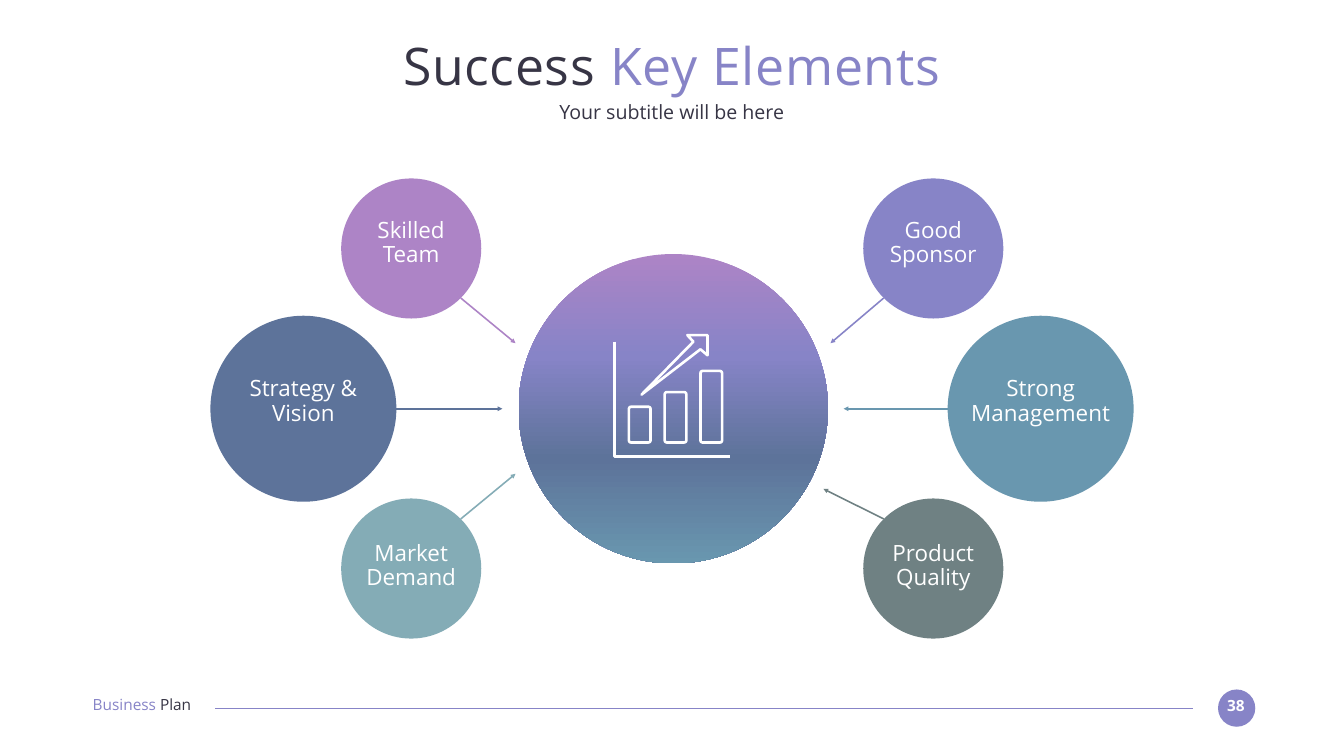
from dataclasses import dataclass
from math import cos, radians, sin

from lxml.etree import SubElement
from pptx import Presentation
from pptx.dml.color import RGBColor
from pptx.enum.shapes import MSO_CONNECTOR, MSO_SHAPE
from pptx.enum.text import MSO_ANCHOR, MSO_AUTO_SIZE, PP_ALIGN
from pptx.oxml.ns import qn
from pptx.shapes.autoshape import Shape
from pptx.shapes.connector import Connector
from pptx.slide import Slide
from pptx.text.text import TextFrame
from pptx.util import Inches, Pt

FONT = "Open Sans"
WHITE = RGBColor(0xFF, 0xFF, 0xFF)
DARK = RGBColor(0x37, 0x35, 0x45)
ORCHID = RGBColor(0xAD, 0x84, 0xC6)
VIOLET = RGBColor(0x87, 0x84, 0xC7)
NAVY = RGBColor(0x5D, 0x73, 0x9A)
BLUE = RGBColor(0x69, 0x97, 0xAF)
TEAL = RGBColor(0x84, 0xAC, 0xB6)
GRAY = RGBColor(0x6F, 0x81, 0x83)

SMALL, LARGE = 2.78, 3.69
LEFT_SMALL_X, RIGHT_SMALL_X = 8.16, 18.52
LEFT_LARGE_X, RIGHT_LARGE_X = 6.02, 20.65
TOP_Y, MIDDLE_Y, BOTTOM_Y = 4.93, 8.11, 11.28
LABEL_HEIGHT = 1.08
ICON_LINE = 3.75


@dataclass(frozen=True)
class Element:
    lines: tuple[str, ...]
    color: RGBColor
    center_x: float
    center_y: float
    diameter: float
    angle: float
    arrow_end: tuple[float, float]
    label_top: float
    label_width: float = 2.23

    @property
    def arrow_start(self) -> tuple[float, float]:
        radius, angle = self.diameter / 2, radians(self.angle)
        return self.center_x + radius * cos(angle), self.center_y + radius * sin(angle)


@dataclass(frozen=True)
class Piece:
    text: str
    color: RGBColor


ELEMENTS = (
    Element(("Skilled Team",), ORCHID, LEFT_SMALL_X, TOP_Y, SMALL, 45, (10.23, 6.81), 4.34),
    Element(("Strategy & Vision",), NAVY, LEFT_LARGE_X, MIDDLE_Y, LARGE, 0, (9.97, MIDDLE_Y), 7.49),
    Element(("Market Demand",), TEAL, LEFT_SMALL_X, BOTTOM_Y, SMALL, -45, (10.23, 9.4), 10.75),
    Element(("Good Sponsor",), VIOLET, RIGHT_SMALL_X, TOP_Y, SMALL, 135, (16.48, 6.81), 4.34),
    Element(("Strong", "Management"), BLUE, RIGHT_LARGE_X, MIDDLE_Y, LARGE, 180,
            (16.74, MIDDLE_Y), 7.49, 2.91),
    Element(("Product Quality",), GRAY, RIGHT_SMALL_X, BOTTOM_Y, SMALL, 225, (16.34, 9.7), 10.75),
)


def write(frame: TextFrame, paragraphs: list[list[Piece]], size: float,
          align: PP_ALIGN = PP_ALIGN.CENTER, bold: bool = False,
          anchor: MSO_ANCHOR = MSO_ANCHOR.TOP) -> None:
    frame.word_wrap = True
    frame.auto_size = MSO_AUTO_SIZE.NONE
    frame.vertical_anchor = anchor
    frame.margin_left = frame.margin_right = frame.margin_top = frame.margin_bottom = 0
    for index, pieces in enumerate(paragraphs):
        paragraph = frame.add_paragraph() if index else frame.paragraphs[0]
        paragraph.alignment = align
        paragraph.line_spacing = 0.9
        paragraph.space_before = Pt(0)
        for piece in pieces:
            run = paragraph.add_run()
            run.text = piece.text
            run.font.name = FONT
            run.font.size = Pt(size)
            run.font.bold = bold
            run.font.color.rgb = piece.color


def place(shape: Shape, left: float, top: float, width: float, height: float) -> None:
    shape.left, shape.top = Inches(left), Inches(top)
    shape.width, shape.height = Inches(width), Inches(height)


def add_text(slide: Slide, left: float, top: float, width: float, height: float) -> TextFrame:
    box = slide.shapes.add_textbox(Inches(left), Inches(top), Inches(width), Inches(height))
    return box.text_frame


def add_circle(slide: Slide, center_x: float, center_y: float, diameter: float,
               color: RGBColor) -> Shape:
    circle = slide.shapes.add_shape(
        MSO_SHAPE.OVAL, Inches(center_x - diameter / 2), Inches(center_y - diameter / 2),
        Inches(diameter), Inches(diameter))
    circle.shadow.inherit = False
    circle.fill.solid()
    circle.fill.fore_color.rgb = color
    circle.line.fill.background()
    return circle


def add_line(slide: Slide, start: tuple[float, float], end: tuple[float, float],
             color: RGBColor, width: float) -> Connector:
    line = slide.shapes.add_connector(
        MSO_CONNECTOR.STRAIGHT, *(Inches(value) for value in start + end))
    line.line.color.rgb = color
    line.line.width = Pt(width)
    SubElement(line.element.spPr, qn("a:effectLst"))
    return line


def add_arrow(slide: Slide, element: Element) -> None:
    arrow = add_line(slide, element.arrow_start, element.arrow_end, element.color, 2.25)
    SubElement(arrow.line._get_or_add_ln(), qn("a:tailEnd"), type="triangle")


def add_label(slide: Slide, element: Element) -> None:
    frame = add_text(slide, element.center_x - element.label_width / 2, element.label_top,
                     element.label_width, LABEL_HEIGHT)
    write(frame, [[Piece(line, WHITE)] for line in element.lines], 32)


def add_hub(slide: Slide) -> None:
    hub = add_circle(slide, 13.36, MIDDLE_Y, 6.14, VIOLET)
    hub.fill.gradient()
    hub.fill.gradient_angle = 270
    stops = hub.element.spPr.find(qn("a:gradFill")).find(qn("a:gsLst"))
    for stop in list(stops):
        stops.remove(stop)
    for percent, color in ((0, ORCHID), (33, VIOLET), (66, NAVY), (100, BLUE)):
        stop = SubElement(stops, qn("a:gs"), pos=str(percent * 1000))
        SubElement(stop, qn("a:srgbClr"), val=str(color))


def outline(shape: Shape) -> None:
    shape.shadow.inherit = False
    shape.fill.background()
    shape.line.color.rgb = WHITE
    shape.line.width = Pt(ICON_LINE)
    SubElement(shape.line._get_or_add_ln(), qn("a:round"))


def add_outline(slide: Slide, points: list[tuple[float, float]], close: bool) -> None:
    corners = [(Inches(x), Inches(y)) for x, y in points]
    builder = slide.shapes.build_freeform(*corners[0])
    builder.add_line_segments(corners[1:], close=close)
    outline(builder.convert_to_shape())


def add_growth_icon(slide: Slide) -> None:
    add_outline(slide, [(12.2, 6.78), (12.2, 9.06), (14.48, 9.06)], False)
    for index, top in enumerate((8.07, 7.78, 7.36)):
        bar = slide.shapes.add_shape(
            MSO_SHAPE.ROUNDED_RECTANGLE, Inches(12.48 + 0.71 * index), Inches(top),
            Inches(0.43), Inches(8.78 - top))
        bar.adjustments[0] = 0.1
        outline(bar)
    add_outline(slide, [(12.73, 7.83), (13.76, 6.78), (13.64, 6.65), (14.04, 6.65),
                        (14.04, 7.05), (13.9, 6.93)], True)


def add_heading(slide: Slide) -> None:
    title, subtitle = slide.shapes.title, slide.placeholders[1]
    place(title, 1.83, 0.73, 23, 1.27)
    write(title.text_frame, [[Piece("Success ", DARK), Piece("Key Elements", VIOLET)]], 74,
          anchor=MSO_ANCHOR.MIDDLE)
    for run in title.text_frame.paragraphs[0].runs:
        run.font._element.set("spc", "100")
    place(subtitle, 1.83, 2.03, 23, 0.49)
    properties = subtitle.text_frame.paragraphs[0]._p.get_or_add_pPr()
    properties.set("marL", "0")
    properties.set("indent", "0")
    SubElement(properties, qn("a:buNone"))
    write(subtitle.text_frame, [[Piece("Your subtitle will be here", DARK)]], 28)


def add_footer(slide: Slide) -> None:
    add_circle(slide, 24.54, 14.05, 0.74, VIOLET)
    write(add_text(slide, 24.23, 13.85, 0.59, 0.37), [[Piece("38", WHITE)]], 22, bold=True)
    add_line(slide, (23.67, 14.05), (4.27, 14.05), VIOLET, 1.5)
    write(add_text(slide, 1.84, 13.84, 2.59, 0.37),
          [[Piece("Business ", VIOLET), Piece("Plan", DARK)]], 22, PP_ALIGN.LEFT)


def main() -> None:
    presentation = Presentation()
    presentation.slide_width, presentation.slide_height = Inches(26.67), Inches(15)
    slide = presentation.slides.add_slide(presentation.slide_layouts[1])
    add_footer(slide)
    add_heading(slide)
    for element in ELEMENTS:
        add_circle(slide, element.center_x, element.center_y, element.diameter, element.color)
    for element in ELEMENTS:
        add_arrow(slide, element)
    add_hub(slide)
    for element in ELEMENTS:
        add_label(slide, element)
    add_growth_icon(slide)
    presentation.save("out.pptx")


if __name__ == "__main__":
    main()
